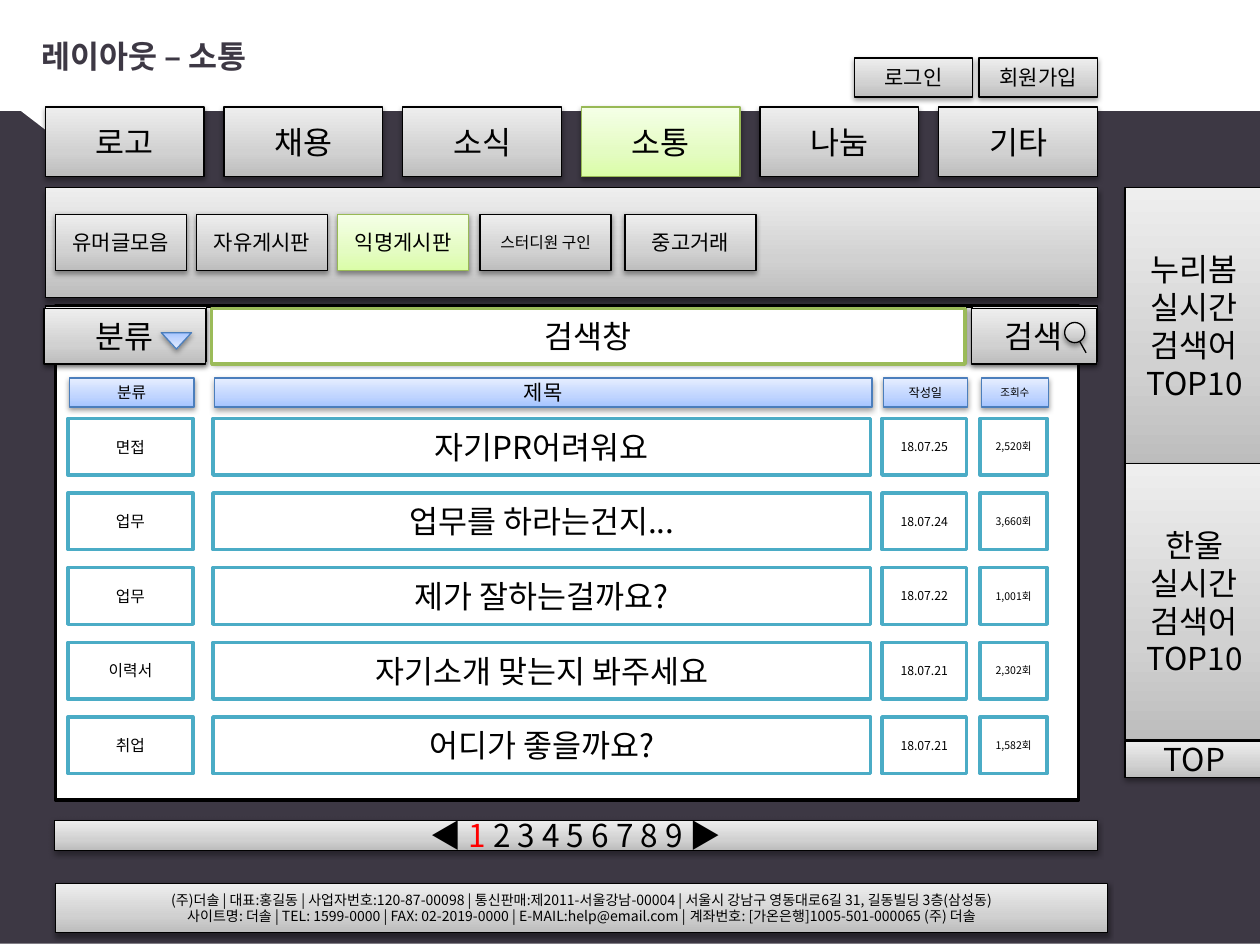
from lxml.etree import SubElement
from copy import deepcopy

from pptx import Presentation
from pptx.dml.color import RGBColor
from pptx.enum.shapes import MSO_CONNECTOR, MSO_SHAPE
from pptx.enum.text import MSO_ANCHOR, PP_ALIGN
from pptx.oxml.ns import qn
from pptx.util import Inches, Pt

FONT = "Noto Sans CJK KR"
COLORS = {
    "dark": "3D3844", "white": "FFFFFF", "black": "000000", "red": "FF0000",
    "teal": "4BACC6", "green": "9BBB59", "green_edge": "98B955", "blue_edge": "4B7EBC",
}
GRADIENTS = {
    "grey": (("BDBDBD", "D1D1D1", "EEEEEE"), "black"),
    "lime": (("DAFDA7", "E4FCC2", "F5FFE7"), "green_edge"),
    "blue": (("A4C4FF", "BFD4FF", "E6EEFF"), "blue_edge"),
}
MENU = ["로고", "채용", "소식", "소통", "나눔", "기타"]
BOARDS = [
    (0.44, "유머글모음", 12), (1.56, "자유게시판", 12), (2.68, "익명게시판", 12),
    (3.81, "스터디원 구인", 9), (4.96, "중고거래", 12),
]
COLUMNS = [
    (0.54, 0.99, "분류", 9, 9), (1.69, 5.22, "제목", 12, 18),
    (7, 0.67, "작성일", 7, 7), (7.78, 0.53, "조회수", 6, 6),
]
POSTS = [
    ("면접", "자기PR어려워요", "18.07.25", "2,520회"),
    ("업무", "업무를 하라는건지...", "18.07.24", "3,660회"),
    ("업무", "제가 잘하는걸까요?", "18.07.22", "1,001회"),
    ("이력서", "자기소개 맞는지 봐주세요", "18.07.21", "2,302회"),
    ("취업", "어디가 좋을까요?", "18.07.21", "1,582회"),
]
COMPANY = (
    "(주)더솔 | 대표:홍길동 | 사업자번호:120-87-00098 | 통신판매:제2011-서울강남-00004"
    " | 서울시 강남구 영동대로6길 31, 길동빌딩 3층(삼성동)\v"
    "사이트명: 더솔 | TEL: 1599-0000 | FAX: 02-2019-0000 | E-MAIL:help@email.com"
    " | 계좌번호: [가온은행]1005-501-000065 (주) 더솔"
)


def rgb(name):
    """Return the palette colour of that name."""
    return RGBColor.from_string(COLORS[name])


def style_paragraph(paragraph, size, color="black", bold=False, align=PP_ALIGN.CENTER):
    """Set alignment and Latin and East Asian font of a paragraph."""
    paragraph.alignment = align
    font = paragraph.font
    font.size, font.bold, font.name = Pt(size), bold, FONT
    font.color.rgb = rgb(color)
    SubElement(font._element, qn("a:ea"), typeface=FONT)


def write(shape, text, size):
    """Write centred lines into a shape."""
    frame = shape.text_frame
    frame.word_wrap = True
    frame.vertical_anchor = MSO_ANCHOR.MIDDLE
    frame.margin_left = frame.margin_right = Inches(0.05)
    frame.text = text
    for paragraph in frame.paragraphs:
        style_paragraph(paragraph, size)


def add_flat(slide, box, fill, edge=None, text="", size=18, kind=MSO_SHAPE.RECTANGLE):
    """Add a plainly filled shape, with a 2 pt edge if one is named."""
    shape = slide.shapes.add_shape(kind, *map(Inches, box))
    shape.shadow.inherit = False
    shape.fill.solid()
    shape.fill.fore_color.rgb = rgb(fill)
    if edge:
        shape.line.color.rgb = rgb(edge)
        shape.line.width = Pt(2)
    else:
        shape.line.fill.background()
    if text:
        write(shape, text, size)
    return shape


def add_button(slide, box, text="", size=18, look="grey", kind=MSO_SHAPE.RECTANGLE):
    """Add a shape with a three-stop gradient and a soft shadow."""
    stops, edge = GRADIENTS[look]
    shape = slide.shapes.add_shape(kind, *map(Inches, box))
    shape.fill.gradient()
    shape.fill.gradient_angle = 90
    properties = shape._element.spPr
    stop_list = properties.find(".//" + qn("a:gsLst"))
    stop_list.append(deepcopy(stop_list[-1]))
    for stop, color, position in zip(shape.fill.gradient_stops, stops, (0, 0.35, 1)):
        stop.color.rgb = RGBColor.from_string(color)
        stop.position = position
    shape.line.color.rgb = rgb(edge)
    shape.line.width = Pt(0.75)
    shape.shadow.inherit = False
    shadow = SubElement(
        properties.find(qn("a:effectLst")), qn("a:outerShdw"), blurRad=str(Pt(3.1)),
        dist=str(Pt(1.6)), dir="5400000", rotWithShape="0")
    shade = SubElement(shadow, qn("a:srgbClr"), val=COLORS["black"])
    SubElement(shade, qn("a:alpha"), val="38000")
    if text:
        write(shape, text, size)
    return shape


def add_backdrop(slide):
    """Add the dark page, its white banner and the white board."""
    add_flat(slide, (0, -0.01, 10.14, 7.5), "dark")
    add_flat(slide, (-0.03, -0.02, 10.17, 0.9), "white")
    notch = add_flat(slide, (-0.2, 0.6, 1.46, 0.56), "white",
                     kind=MSO_SHAPE.ISOSCELES_TRIANGLE)
    notch.rotation = 180
    add_flat(slide, (0.44, 2.43, 8.12, 3.92), "white", "black")


def add_title(slide, text):
    """Fill the title placeholder and lift it above the backdrop."""
    title = slide.shapes.title
    title.left, title.top, title.width, title.height = map(Inches, (0.23, 0.13, 9.66, 0.62))
    title.text_frame.text = text
    title.text_frame.vertical_anchor = MSO_ANCHOR.MIDDLE
    style_paragraph(title.text_frame.paragraphs[0], 18, "dark", True, PP_ALIGN.LEFT)
    slide.shapes._spTree.append(title._element)


def add_menus(slide):
    """Add the main menu, the account buttons and the board menu."""
    for index, label in enumerate(MENU):
        look = "lime" if label == "소통" else "grey"
        add_button(slide, (0.36 + 1.418 * index, 0.85, 1.26, 0.55), label, look=look)
    for left, label in ((6.78, "로그인"), (7.77, "회원가입")):
        add_button(slide, (left, 0.46, 0.94, 0.31), label, 12)
    add_button(slide, (0.36, 1.49, 8.35, 0.87))
    for left, label, size in BOARDS:
        look = "lime" if label == "익명게시판" else "grey"
        add_button(slide, (left, 1.7, 1.04, 0.45), label, size, look)


def add_search(slide):
    """Add the layered search bar with its arrow and magnifier."""
    for left, top, active in ((0.36, 2.43, False), (0.35, 2.45, True)):
        add_button(slide, (left, top, 1.28, 0.44), "분류")
        field = (left + 1.33, top, 5.98, 0.44)
        if active:
            add_flat(slide, field, "white", "green", "검색창")
        else:
            add_button(slide, field, "검색창")
        add_button(slide, (left + 7.36, top, 0.99, 0.44), "검색")
    arrow = add_button(slide, (1.28, 2.64, 0.24, 0.13), look="blue",
                       kind=MSO_SHAPE.ISOSCELES_TRIANGLE)
    arrow.rotation = 180
    handle = slide.shapes.add_connector(
        MSO_CONNECTOR.STRAIGHT, *map(Inches, (8.53, 2.64, 8.62, 2.8)))
    handle.line.color.rgb = rgb("black")
    handle.line.width = Pt(0.75)
    SubElement(handle._element.spPr, qn("a:effectLst"))
    add_button(slide, (8.45, 2.56, 0.16, 0.16), kind=MSO_SHAPE.OVAL)


def add_posts(slide):
    """Add the column heads and the grid of posts."""
    for column, (left, width, head, head_size, size) in enumerate(COLUMNS):
        add_button(slide, (left + 0.01, 3, width, 0.23), head, head_size, "blue")
        for row, post in enumerate(POSTS):
            add_flat(slide, (left, 3.32 + 2.37 / 4 * row, width, 0.45),
                     "white", "teal", post[column], size)


def add_pager(slide):
    """Add the page bar with the current page in red."""
    pager = add_button(slide, (0.43, 6.51, 8.28, 0.24), "◀ ")
    paragraph = pager.text_frame.paragraphs[0]
    current = paragraph.add_run()
    current.text = "1"
    current.font.color.rgb = rgb("red")
    paragraph.add_run().text = " 2 3 4 5 6 7 8 9 ▶"


def main():
    """Build the slide and save it."""
    deck = Presentation()
    deck.slide_width, deck.slide_height = Inches(10), Inches(7.5)
    slide = deck.slides.add_slide(deck.slide_layouts[5])
    add_backdrop(slide)
    add_title(slide, "레이아웃 – 소통")
    add_menus(slide)
    add_posts(slide)
    for top, portal in ((1.49, "누리봄"), (3.68, "한울")):
        add_button(slide, (8.93, top, 1.1, 2.19), f"{portal}\n실시간\n검색어\nTOP10")
    add_button(slide, (8.93, 5.88, 1.1, 0.29), "TOP")
    add_button(slide, (0.44, 7.01, 8.35, 0.39), COMPANY, 8)
    add_pager(slide)
    add_search(slide)
    deck.save("out.pptx")


if __name__ == "__main__":
    main()
